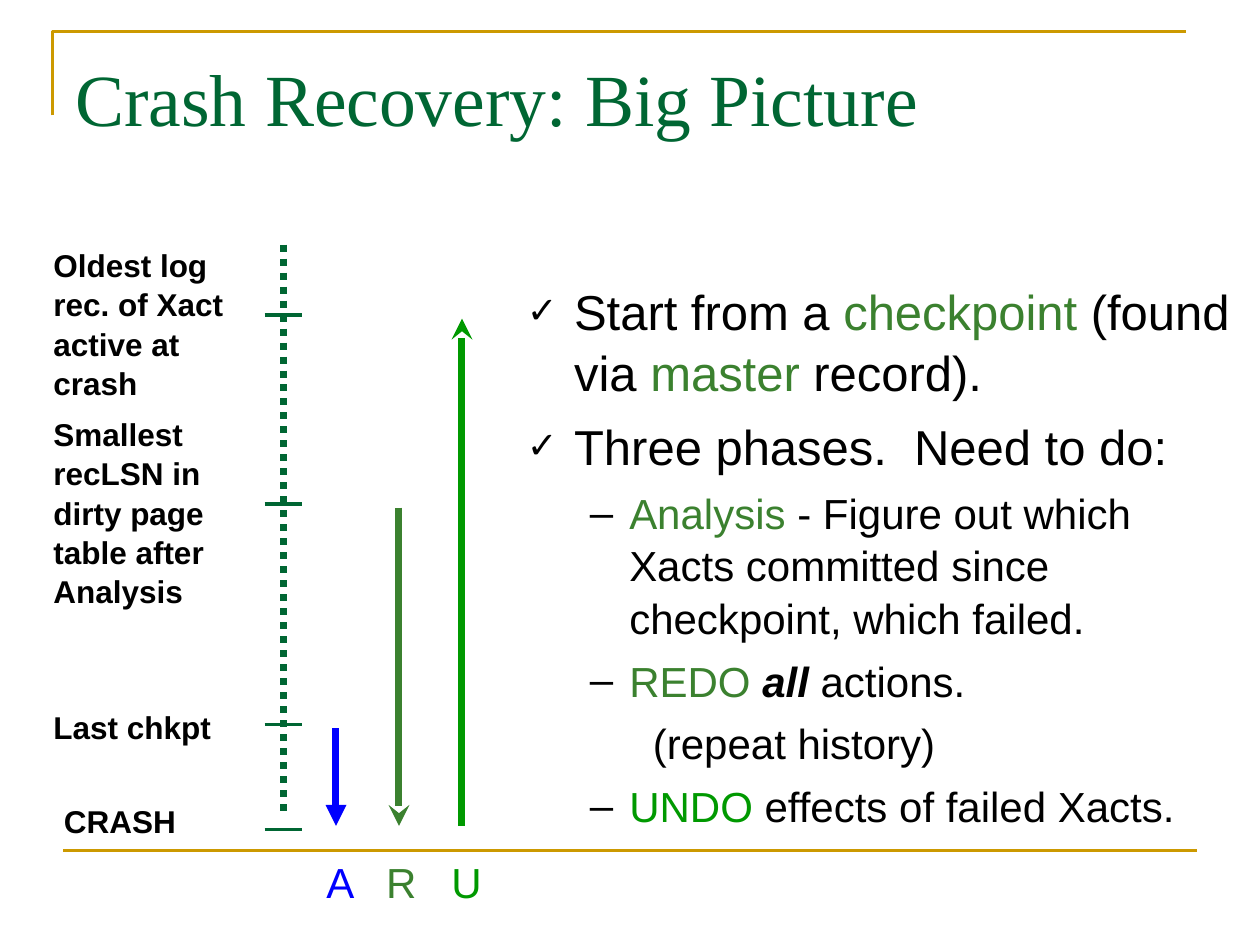
import pptx
import pptx.dml.color
import pptx.enum.dml
import pptx.enum.shapes
import pptx.oxml.ns
import pptx.util
import lxml.etree

COLUMNS, ROWS = 120, 90
GREEN, GOLD, BLACK = "006633", "CC9900", "000000"
BLUE, LEAF, BRIGHT = "0000FF", "3B812F", "009900"


def color(value):
    return pptx.dml.color.RGBColor.from_string(value)


def apply(target, values):
    for name, value in values.items():
        setattr(target, name, value)


def add_xml(parent, tag, **attributes):
    return lxml.etree.SubElement(parent, pptx.oxml.ns.qn(tag), attributes)


class SlideWriter:
    font = "Arial"
    spacing = 1.04

    def __init__(self, presentation):
        self.cell_width = presentation.slide_width / COLUMNS
        self.cell_height = presentation.slide_height / ROWS
        self.slide = presentation.slides.add_slide(presentation.slide_layouts[6])

    def x(self, column):
        return pptx.util.Emu(round(column * self.cell_width))

    def y(self, row):
        return pptx.util.Emu(round(row * self.cell_height))

    def stroke(self, line, shade, width):
        line.color.rgb = color(shade)
        line.width = pptx.util.Pt(width)

    def line(self, start, end, shade, width, dash=None, **arrows):
        connector = self.slide.shapes.add_connector(
            pptx.enum.shapes.MSO_CONNECTOR.STRAIGHT,
            self.x(start[0]), self.y(start[1]), self.x(end[0]), self.y(end[1]))
        self.stroke(connector.line, shade, width)
        if dash:
            connector.line.dash_style = dash
        for side, kind in arrows.items():
            add_xml(connector.line._get_or_add_ln(), f"a:{side}End", type=kind)
        add_xml(connector._element.spPr, "a:effectLst")

    def outline(self, points, shade, width):
        corners = [(self.x(column), self.y(row)) for column, row in points]
        builder = self.slide.shapes.build_freeform(*corners[0])
        builder.add_line_segments(corners[1:], close=False)
        shape = builder.convert_to_shape()
        shape.shadow.inherit = False
        shape.fill.background()
        self.stroke(shape.line, shade, width)

    def frame(self, left, top, width, height, wrap=True):
        box = self.slide.shapes.add_textbox(
            self.x(left), self.y(top), self.x(width), self.y(height))
        box.text_frame.word_wrap = wrap
        return box.text_frame

    def run(self, paragraph, text, shade, size, font=None, **values):
        run = paragraph.add_run()
        run.text = text
        run.font.color.rgb = color(shade)
        apply(run.font, {"name": font or self.font, "size": pptx.util.Pt(size), **values})

    def label(self, place, text, shade, size, wrap=True, spacing=None, **values):
        paragraph = self.frame(*place, wrap=wrap).paragraphs[0]
        paragraph.line_spacing = spacing or self.spacing
        self.run(paragraph, text, shade, size, **values)

    def outline_list(self, place, items, levels):
        frame = self.frame(*place)
        for index, (kind, runs) in enumerate(items):
            paragraph = frame.add_paragraph() if index else frame.paragraphs[0]
            level = levels[kind]
            apply(paragraph, {"level": level["level"], "line_spacing": self.spacing,
                              "space_before": pptx.util.Pt(level["before"])})
            self.bullet(paragraph._p.get_or_add_pPr(), level)
            for text, shade, *style in runs:
                self.run(paragraph, text, shade, level["size"], **dict.fromkeys(style, True))

    def bullet(self, properties, level):
        properties.set("marL", str(self.x(level["margin"])))
        properties.set("indent", str(-self.x(level["hang"])))
        if not level["mark"]:
            add_xml(properties, "a:buNone")
            return
        add_xml(add_xml(properties, "a:buClr"), "a:srgbClr", val=BLACK)
        add_xml(properties, "a:buSzPct", val=level["scale"])
        add_xml(properties, "a:buFont", typeface=self.font)
        add_xml(properties, "a:buChar", char=level["mark"])


def main():
    presentation = pptx.Presentation()
    apply(presentation, {"slide_width": pptx.util.Inches(10),
                         "slide_height": pptx.util.Inches(7.5)})
    writer = SlideWriter(presentation)

    writer.outline([(5, 11), (5, 3), (113, 3)], GOLD, 1.5)
    writer.line((6, 81), (114, 81), GOLD, 1.5)
    writer.label((6, 3.6, 108, 15), "Crash Recovery: Big Picture", GREEN, 42,
                 spacing=1.1, font="Times New Roman")

    levels = {
        "point": dict(level=0, margin=4.5, hang=4.5, before=7, size=28, mark="✓", scale="75000"),
        "phase": dict(level=1, margin=9.75, hang=3.75, before=6, size=24, mark="–", scale="100000"),
        "remark": dict(level=2, margin=15, hang=3, before=6, size=24, mark=None),
    }
    writer.outline_list((49, 26, 71, 53.5), [
        ("point", [("Start from a ", BLACK), ("checkpoint", LEAF), (" (found via ", BLACK),
                   ("master", LEAF), (" record).", BLACK)]),
        ("point", [("Three phases.  Need to do:", BLACK)]),
        ("phase", [("Analysis", LEAF), (" - Figure out which Xacts committed since "
                                        "checkpoint, which failed.", BLACK)]),
        ("phase", [("REDO ", LEAF), ("all", BLACK, "bold", "italic"), (" actions.", BLACK)]),
        ("remark", [("(repeat history)", BLACK)]),
        ("phase", [("UNDO", BRIGHT), (" effects of failed Xacts.", BLACK)]),
    ], levels)

    log_column = 27
    writer.line((log_column, 23.3), (log_column, 77.6), GREEN, 4,
                dash=pptx.enum.dml.MSO_LINE.ROUND_DOT)
    oldest, smallest, checkpoint, crash = 30, 48, 69, 79
    for event in (oldest, smallest, checkpoint, crash):
        writer.line((log_column - 1.8, event), (log_column + 1.8, event), GREEN, 2)

    for left, top, height, text in (
        (3.9, 22.7, 15.6, "Oldest log rec. of Xact active at crash"),
        (3.9, 38.8, 19.2, "Smallest recLSN in dirty page table after Analysis"),
        (3.9, 66.7, 4.8, "Last chkpt"),
        (4.9, 75.7, 4.8, "CRASH"),
    ):
        writer.label((left, top, 22, height), text, BLACK, 18, bold=True)

    gap = 0.35
    for column, event, letter_left, letter, shade, arrow in (
        (32, checkpoint, 29.9, "A", BLUE, {"tail": "triangle"}),
        (38, smallest, 35.6, "R", LEAF, {"tail": "stealth"}),
        (44, oldest, 41.8, "U", BRIGHT, {"head": "stealth"}),
    ):
        writer.line((column, event + gap), (column, crash - gap), shade, 4, **arrow)
        writer.label((letter_left, 80.8, 5.2, 6), letter, shade, 24, wrap=False)

    presentation.save("out.pptx")


if __name__ == "__main__":
    main()
